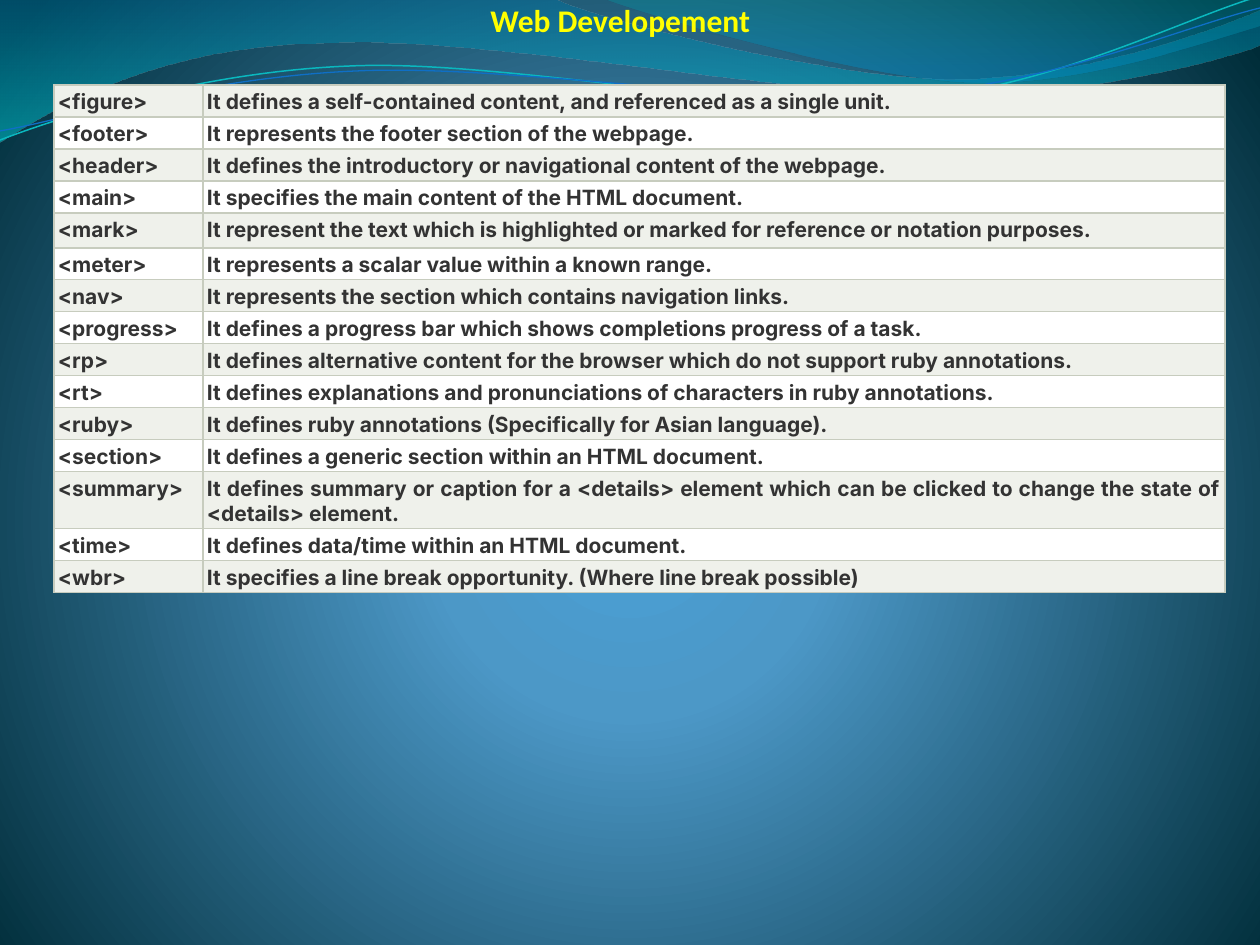
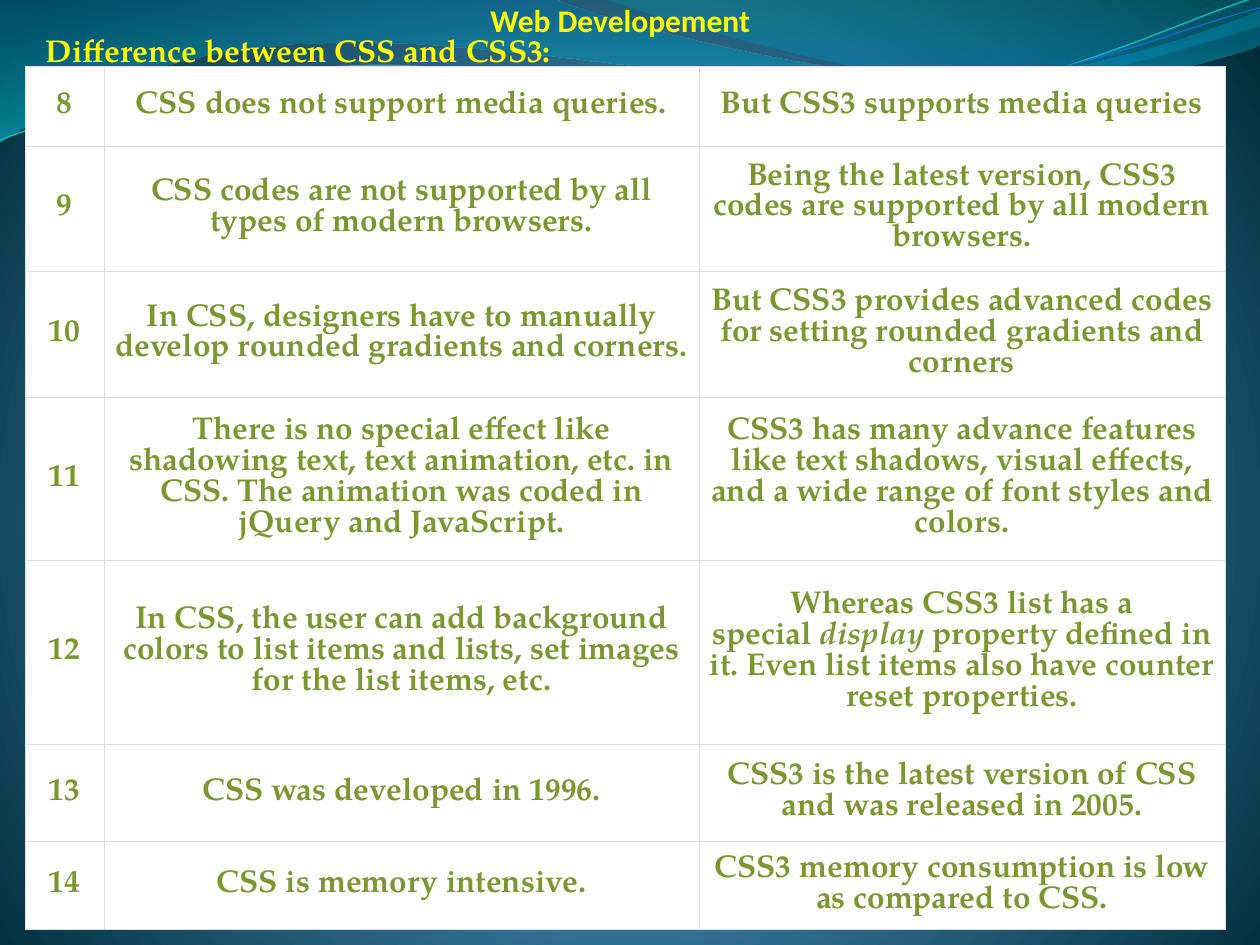
from lxml import etree
from pptx import Presentation
from pptx import util as u
from pptx.dml import color as dml
from pptx.enum import text
from pptx.oxml import ns

PX = 914400 / 126
WIDTH, HEIGHT = 1260, 945
YELLOW, WHITE = "FFFF00", "FFFFFF"
HARD_SPACE = chr(160)

BACKDROP = [(0, "4AA0D6", 100), (25, "4C98C7", 100), (100, "002C38", 100)]
BACKDROP_FOCUS = {"l": 10, "t": 110, "r": 10, "b": 100}

WAVES = [
    ((0, 0),
     [[(554, -1)],
      [(600, 21), (837, 79), (955, 79)],
      [(1075, 79), (1207, 33), (1260, 11)],
      [(1261, 45)],
      [(1239, 55), (1096, 96), (940, 95)],
      [(784, 95), (481, 35), (324, 43)],
      [(163, 45), (58, 105), (-1, 142)],
      [(0, 0)]],
     [(0, "0074A1", 45), (100, "00C6CF", 55)]),
    ((604, -1),
     [[(641, 14), (859, 78), (969, 82)],
      [(1079, 87), (1211, 40), (1260, 26)],
      [(1260, 0)],
      [(604, -1)]],
     [(0, "00A1A9", 30), (80, "008BBF", 45)]),
]
STRANDS = [
    ((0, 140),
     [[(60, 117), (199, 72), (349, 66)],
      [(498, 59), (747, 112), (898, 101)],
      [(1050, 89), (1182, 19), (1257, -3)]],
     "0AB8BF", 0.85),
    ((0, 131),
     [[(59, 121), (207, 77), (357, 71)],
      [(508, 64), (752, 106), (903, 95)],
      [(1053, 84), (1186, 26), (1260, 8)]],
     "0F6FC6", 0.75),
]

TITLE = "Web Developement"
HEADING = "Difference between CSS and CSS3:"

TAGS = [
    ("<figure>", "It defines a self-contained content, and referenced as a single unit."),
    ("<footer>", "It represents the footer section of the webpage."),
    ("<header>", "It defines the introductory or navigational content of the webpage."),
    ("<main>", "It specifies the main content of the HTML document."),
    ("<mark>", "It represent the text which is highlighted or marked for reference or notation purposes."),
    ("<meter>", "It represents a scalar value within a known range."),
    ("<nav>", "It represents the section which contains navigation links."),
    ("<progress>", "It defines a progress bar which shows completions progress of a task."),
    ("<rp>", "It defines alternative content for the browser which do not support ruby annotations."),
    ("<rt>", "It defines explanations and pronunciations of characters in ruby annotations."),
    ("<ruby>", "It defines ruby annotations (Specifically for Asian language)."),
    ("<section>", "It defines a generic section within an HTML document."),
    ("<summary>", "It defines summary or caption for a <details> element which can be clicked "
                  "to change the state of <details> element."),
    ("<time>", "It defines data/time within an HTML document."),
    ("<wbr>", "It specifies a line break opportunity. (Where line break possible)"),
]
TAG_ROW = 32
TALL_TAG_ROWS = {"<mark>": 35, "<summary>": 57}

DIFFERENCES = [
    ("8", "CSS does not support media queries.", "But CSS3 supports media queries"),
    ("9", "CSS codes are not supported by all types of modern browsers.",
     "Being the latest version, CSS3 codes are supported by all modern browsers."),
    ("10", "In CSS, designers have to manually develop rounded gradients and corners.",
     "But CSS3 provides advanced codes for setting rounded gradients and corners"),
    ("11", "There is no special effect like shadowing text, text animation, etc. in CSS. "
           "The animation was coded in jQuery and JavaScript.",
     "CSS3 has many advance features like text shadows, visual effects, "
     "and a wide range of font styles and colors."),
    ("12", "In CSS, the user can add background colors to list items and lists, "
           "set images for the list items, etc.",
     f"Whereas CSS3 list has a special{HARD_SPACE}display{HARD_SPACE}property defined in it. "
     "Even list items also have counter reset properties."),
    ("13", "CSS was developed in 1996.",
     "CSS3 is the latest version of CSS and was released in 2005."),
    ("14", "CSS is memory intensive.", "CSS3 memory consumption is low as compared to CSS."),
]
DIFFERENCE_ROWS = [80, 125, 126, 163, 184, 97, 88]


def emu(*lengths):
    return [round(length * PX) for length in lengths]


def rgb(code):
    return dml.RGBColor.from_string(code)


def add_node(parent, tag, **attributes):
    values = {name: str(value) for name, value in attributes.items()}
    return etree.SubElement(parent, ns.qn(tag), values)


def set_gradient(fill, element, stops, focus=None):
    fill.solid()
    solid = next(element.iter(ns.qn("a:solidFill")))
    gradient = etree.Element(ns.qn("a:gradFill"), rotWithShape="1")
    stop_list = add_node(gradient, "a:gsLst")
    for position, code, opacity in stops:
        stop = add_node(stop_list, "a:gs", pos=position * 1000)
        shade = add_node(stop, "a:srgbClr", val=code)
        if opacity < 100:
            add_node(shade, "a:alpha", val=opacity * 1000)
    if focus:
        circle = add_node(gradient, "a:path", path="circle")
        add_node(circle, "a:fillToRect", **{side: share * 1000 for side, share in focus.items()})
    else:
        add_node(gradient, "a:lin", ang=5400000, scaled=1)
    solid.getparent().replace(solid, gradient)


def add_outline(page, start, segments, close):
    builder = page.shapes.build_freeform(*emu(*start), scale=1.0)
    builder.add_line_segments([emu(*segment[-1]) for segment in segments], close=close)
    outline = builder.convert_to_shape()
    outline.shadow.inherit = False
    straights = list(outline.element.iter(ns.qn("a:lnTo")))
    for straight, segment in zip(straights, segments):
        if len(segment) == 3:
            curve = etree.Element(ns.qn("a:cubicBezTo"))
            for point in segment:
                x, y = emu(*point)
                add_node(curve, "a:pt", x=x - outline.left, y=y - outline.top)
            straight.getparent().replace(straight, curve)
    return outline


def write(frame, content, font, size, color, align=text.PP_ALIGN.LEFT, italic=None):
    para = frame.paragraphs[0]
    para.alignment = align
    pieces = content.partition(italic) if italic else [content]
    for piece in filter(None, pieces):
        span = para.add_run()
        span.text = piece
        span.font.name = font
        span.font.size = u.Pt(size)
        span.font.bold = True
        span.font.italic = piece == italic
        span.font.color.rgb = rgb(color)


def add_text(page, place, content, left_inset=13, **style):
    box = page.shapes.add_textbox(*emu(*place))
    box.text_frame.word_wrap = True
    box.text_frame.margin_left = emu(left_inset)[0]
    write(box.text_frame, content, **style)


def set_borders(cell, color, width):
    properties = cell._tc.get_or_add_tcPr()
    for index, side in enumerate("LRTB"):
        line = etree.Element(ns.qn(f"a:ln{side}"), w=str(u.Pt(width)))
        add_node(add_node(line, "a:solidFill"), "a:srgbClr", val=color)
        properties.insert(index, line)


def add_grid(page, left, top, columns, heights, rows, fills, border, insets, anchor, **style):
    place = emu(left, top, sum(columns), sum(heights))
    table = page.shapes.add_table(len(rows), len(columns), *place).table
    table.first_row = table.horz_banding = False
    for column, width in zip(table.columns, emu(*columns)):
        column.width = width
    for row, height in zip(table.rows, emu(*heights)):
        row.height = height
    for r, values in enumerate(rows):
        for c, value in enumerate(values):
            cell = table.cell(r, c)
            cell.fill.solid()
            cell.fill.fore_color.rgb = rgb(fills[r % len(fills)])
            side, cell.margin_top, cell.margin_bottom = emu(*insets[c])
            cell.margin_left = cell.margin_right = side
            cell.vertical_anchor = anchor
            write(cell.text_frame, value, **style)
            set_borders(cell, *border)


def add_page(deck):
    page = deck.slides.add_slide(deck.slide_layouts[6])
    set_gradient(page.background.fill, page.element, BACKDROP, BACKDROP_FOCUS)
    for start, segments, stops in WAVES:
        wave = add_outline(page, start, segments, close=True)
        set_gradient(wave.fill, wave.element.spPr, stops)
        wave.line.fill.background()
    for start, segments, color, width in STRANDS:
        strand = add_outline(page, start, segments, close=False)
        strand.fill.background()
        strand.line.color.rgb = rgb(color)
        strand.line.width = u.Pt(width)
    add_text(page, (226, -5, 788, 50), TITLE, font="Calibri", size=18, color=YELLOW,
             align=text.PP_ALIGN.CENTER)
    return page


def main():
    deck = Presentation()
    deck.slide_width, deck.slide_height = emu(WIDTH, HEIGHT)

    add_grid(add_page(deck), 54, 85, [149, 1022],
             [TALL_TAG_ROWS.get(tag, TAG_ROW) for tag, meaning in TAGS], TAGS,
             fills=["EFF1EB", WHITE], border=("C7CCBE", 0.75), insets=[(4, 4, 2)] * 2,
             anchor=text.MSO_ANCHOR.TOP, font="Inter", size=12, color="333333",
             align=text.PP_ALIGN.JUSTIFY)

    page = add_page(deck)
    add_text(page, (25, 25, 1150, 127), HEADING, left_inset=21,
             font="TeX Gyre Pagella", size=18, color=YELLOW)
    add_grid(page, 25, 66, [79, 595, 526], DIFFERENCE_ROWS, DIFFERENCES,
             fills=[WHITE], border=("DFDFDF", 0.23), insets=[(3, 6, 6), (6, 6, 6), (6, 6, 6)],
             anchor=text.MSO_ANCHOR.MIDDLE, font="TeX Gyre Pagella", size=18, color="7E9632",
             align=text.PP_ALIGN.CENTER, italic="display")

    deck.save("out.pptx")


if __name__ == "__main__":
    main()
